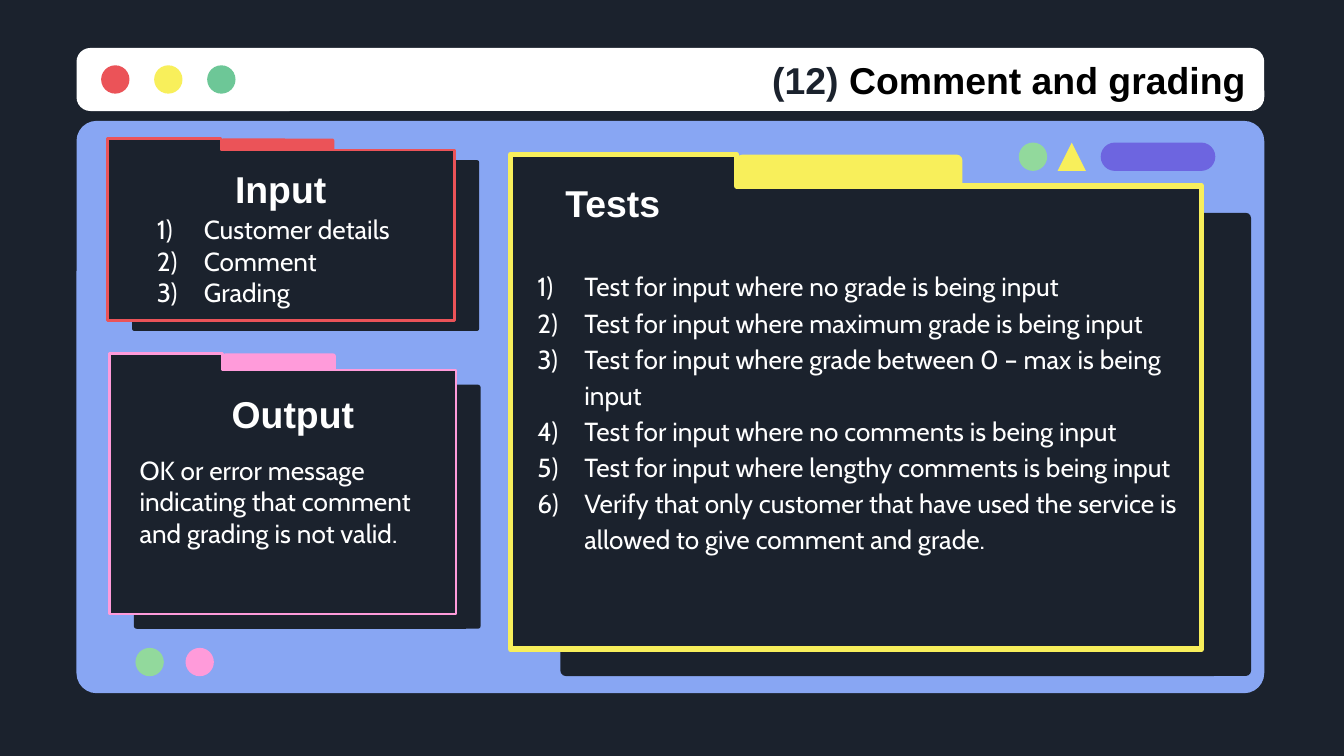
"""Build the comment and grading test slide."""
from dataclasses import dataclass

from lxml import etree
from pptx import Presentation
from pptx.dml.color import RGBColor
from pptx.enum import shapes as sh, text as tx
from pptx.oxml import ns
from pptx.util import Pt

DARK, WHITE, BLACK = "1B222D", "FFFFFF", "000000"
RED, YELLOW, PINK = "EB5358", "F8EF5B", "FF9BDA"
TEAL, GREEN, BLUE, PURPLE = "6DC797", "92D99C", "88A6F3", "6D65E0"
KIND = sh.MSO_SHAPE
DOT = 15.2
TAB = 0.327


@dataclass
class Folder:
    x: float
    y: float
    w: float
    h: float
    step: float
    dx: float
    dy: float
    line: float
    color: str


@dataclass
class Label:
    text: str
    x: float
    y: float


@dataclass
class Body:
    lines: list[str]
    x: float
    y: float
    w: float
    h: float
    space: float = 1.0
    listed: bool = True


@dataclass
class Mark:
    kind: int
    x: float
    y: float
    color: str
    w: float = DOT


FOLDERS = [
    Folder(273.6, 82.8, 370.1, 265, 16.8, 26.6, 14.4, 3, YELLOW),
    Folder(57.6, 74.2, 185.8, 97.6, 6.1, 13.2, 5.5, 1.3, RED),
    Folder(58.5, 189.3, 185.8, 139.7, 8.9, 13.2, 7.9, 1.4, PINK),
]

LABELS = [
    Label("Input", 73.4, 80),
    Label("Tests", 251.3, 87.8),
    Label("Output", 79.9, 200.9),
]

BODIES = [
    Body(["Customer details", "Comment", "Grading"], 66.2, 107.3, 197.3, 98),
    Body(["Test for input where no grade is being input",
          "Test for input where maximum grade is being input",
          "Test for input where grade between 0 – max is being input",
          "Test for input where no comments is being input",
          "Test for input where lengthy comments is being input",
          "Verify that only customer that have used the service is "
          "allowed to give comment and grade."],
         270, 135.4, 375.8, 193.7, 1.15),
    Body(["OK or error message indicating that comment "
          "and grading is not valid."],
         67.7, 236.2, 175.7, 98, listed=False),
]

MARKS = [Mark(KIND.OVAL, 54.2 + 28.4 * i, 35, c)
         for i, c in enumerate((RED, YELLOW, TEAL))]
MARKS += [
    Mark(KIND.OVAL, 545.8, 76.4, GREEN),
    Mark(KIND.ISOSCELES_TRIANGLE, 566.6, 76.4, YELLOW),
    Mark(KIND.ROUNDED_RECTANGLE, 589.7, 76.4, PURPLE, 61.4),
    Mark(KIND.OVAL, 72.6, 347.1, GREEN),
    Mark(KIND.OVAL, 99.4, 347.1, PINK),
]


def rgb(code: str) -> RGBColor:
    return RGBColor.from_string(code)


def paint(shape, color: str, edge: str = "", line: float = 0) -> None:
    shape.shadow.inherit = False
    shape.fill.solid()
    shape.fill.fore_color.rgb = rgb(color)
    if edge:
        shape.line.color.rgb = rgb(edge)
        shape.line.width = Pt(line)
    else:
        shape.line.fill.background()


def draw(slide, kind: int, x: float, y: float, w: float, h: float,
         color: str, curve: float = 0.5) -> None:
    shape = slide.shapes.add_shape(kind, Pt(x), Pt(y), Pt(w), Pt(h))
    if kind == KIND.ROUNDED_RECTANGLE:
        shape.adjustments[0] = curve
    paint(shape, color)


def add_folder(slide, f: Folder) -> None:
    tab, top = f.w * TAB, f.y + f.step
    right, base = f.x + f.w, f.y + f.h
    box = KIND.ROUNDED_RECTANGLE
    draw(slide, box, f.x + f.dx, top + f.dy, f.w, f.h - f.step, DARK, 0.012)
    draw(slide, box, f.x + tab, f.y, tab, f.step + f.dy, f.color, 0.1)
    pen = slide.shapes.build_freeform(Pt(f.x), Pt(f.y))
    spots = [(f.x + tab, f.y), (f.x + tab, top), (right, top),
             (right, base), (f.x, base)]
    pen.add_line_segments([(Pt(x), Pt(y)) for x, y in spots])
    shape = pen.convert_to_shape()
    paint(shape, DARK, f.color, f.line)
    etree.SubElement(shape.line._get_or_add_ln(), ns.qn("a:round"))


def set_frame(frame, mid: bool) -> None:
    frame.word_wrap = True
    frame.auto_size = tx.MSO_AUTO_SIZE.NONE
    frame.vertical_anchor = tx.MSO_ANCHOR.MIDDLE if mid else tx.MSO_ANCHOR.TOP
    frame.margin_left = frame.margin_right = Pt(7.2)
    frame.margin_top = frame.margin_bottom = Pt(7.2)


def style(run, face: str, size: float, color: str, bold: bool) -> None:
    run.font.name, run.font.size, run.font.bold = face, Pt(size), bold
    run.font.color.rgb = rgb(color)


def add_label(slide, l: Label) -> None:
    frame = slide.shapes.add_textbox(
        Pt(l.x), Pt(l.y), Pt(154), Pt(41.8)).text_frame
    set_frame(frame, True)
    frame.text = l.text
    line = frame.paragraphs[0]
    line.alignment = tx.PP_ALIGN.CENTER
    style(line.runs[0], "Arial", 20, WHITE, True)


def number(line) -> None:
    props = line._p.get_or_add_pPr()
    props.set("marL", str(Pt(36)))
    props.set("indent", str(-Pt(25.2)))
    tint = etree.SubElement(props, ns.qn("a:buClr"))
    etree.SubElement(tint, ns.qn("a:srgbClr"), val=WHITE)
    etree.SubElement(props, ns.qn("a:buFont"), typeface="Cabin")
    etree.SubElement(props, ns.qn("a:buAutoNum"), type="arabicParenR")


def add_body(slide, b: Body) -> None:
    frame = slide.shapes.add_textbox(
        Pt(b.x), Pt(b.y), Pt(b.w), Pt(b.h)).text_frame
    set_frame(frame, False)
    frame.text = "\n".join(b.lines)
    for line in frame.paragraphs:
        line.line_spacing = b.space
        style(line.runs[0], "Cabin", 14, WHITE, False)
        if b.listed:
            number(line)


def set_title(slide) -> None:
    title = slide.shapes.title
    slide.shapes.element.append(title.element)
    title.left, title.top = Pt(67.7), Pt(20.5)
    title.width, title.height = Pt(607), Pt(44.6)
    set_frame(title.text_frame, True)
    line = title.text_frame.paragraphs[0]
    line.alignment = tx.PP_ALIGN.RIGHT
    for words, color in (("(12) ", DARK), ("Comment and grading", BLACK)):
        run = line.add_run()
        run.text = words
        style(run, "Arial", 20, color, True)


def main() -> None:
    deck = Presentation()
    deck.slide_width, deck.slide_height = Pt(720), Pt(405)
    slide = deck.slides.add_slide(deck.slide_layouts[5])
    slide.background.fill.solid()
    slide.background.fill.fore_color.rgb = rgb(DARK)
    box = KIND.ROUNDED_RECTANGLE
    draw(slide, box, 41, 64.8, 636.3, 306.6, BLUE, 0.035)
    draw(slide, box, 41, 25.7, 636.3, 33.8, WHITE, 0.22)
    for m in MARKS:
        draw(slide, m.kind, m.x, m.y, m.w, DOT, m.color)
    for f in FOLDERS:
        add_folder(slide, f)
    set_title(slide)
    for l in LABELS:
        add_label(slide, l)
    for b in BODIES:
        add_body(slide, b)
    deck.save("out.pptx")


if __name__ == "__main__":
    main()
